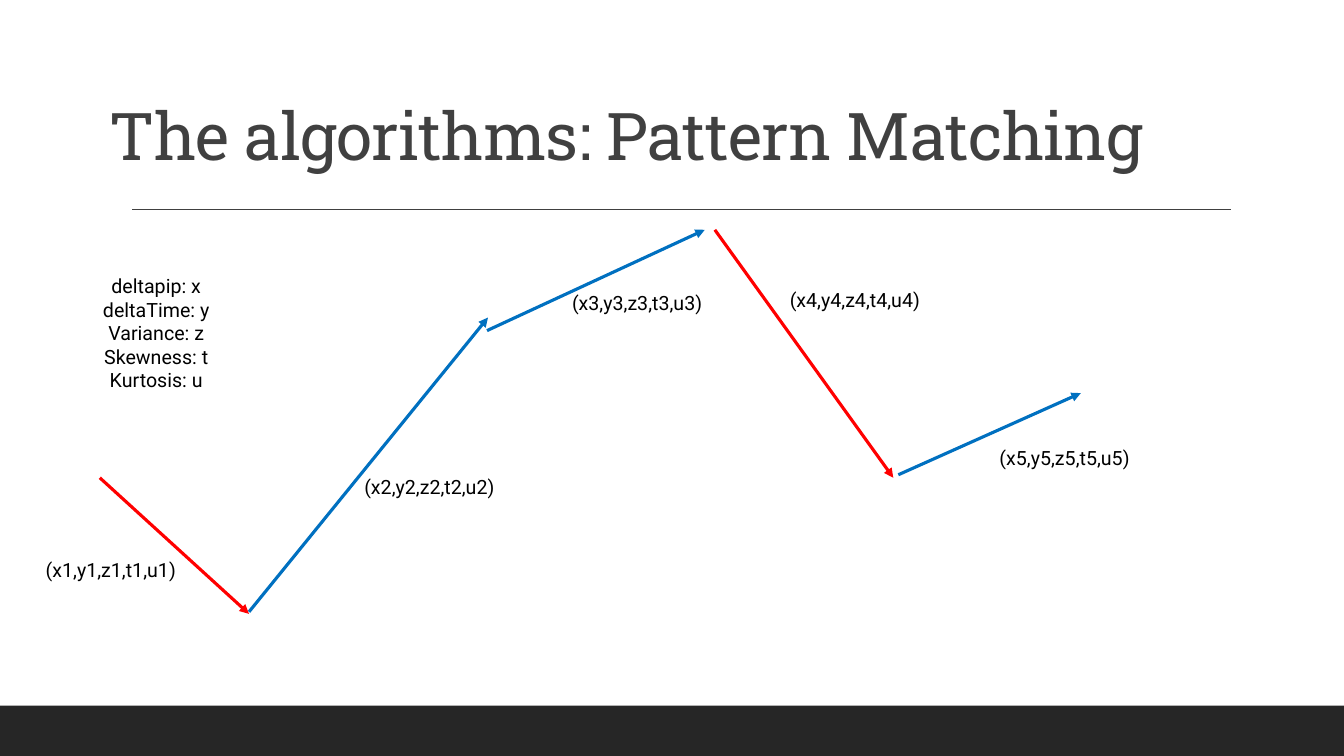
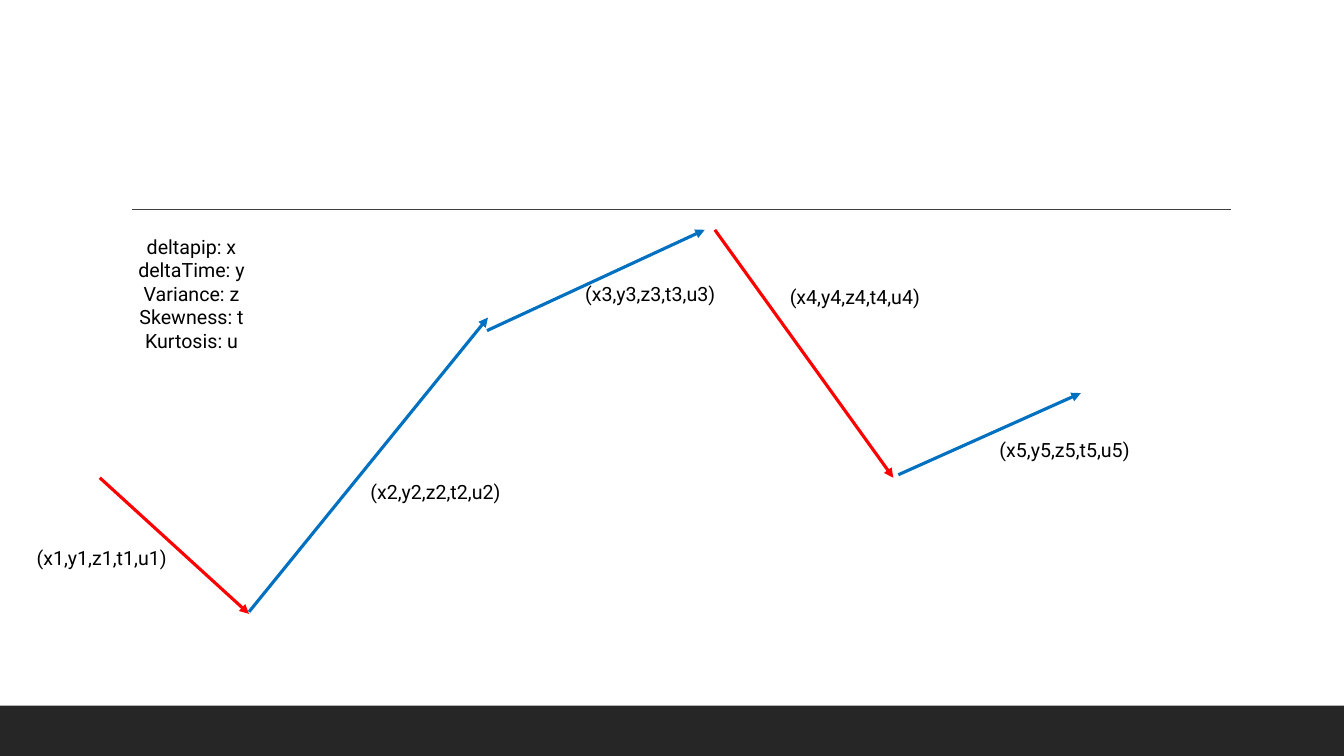
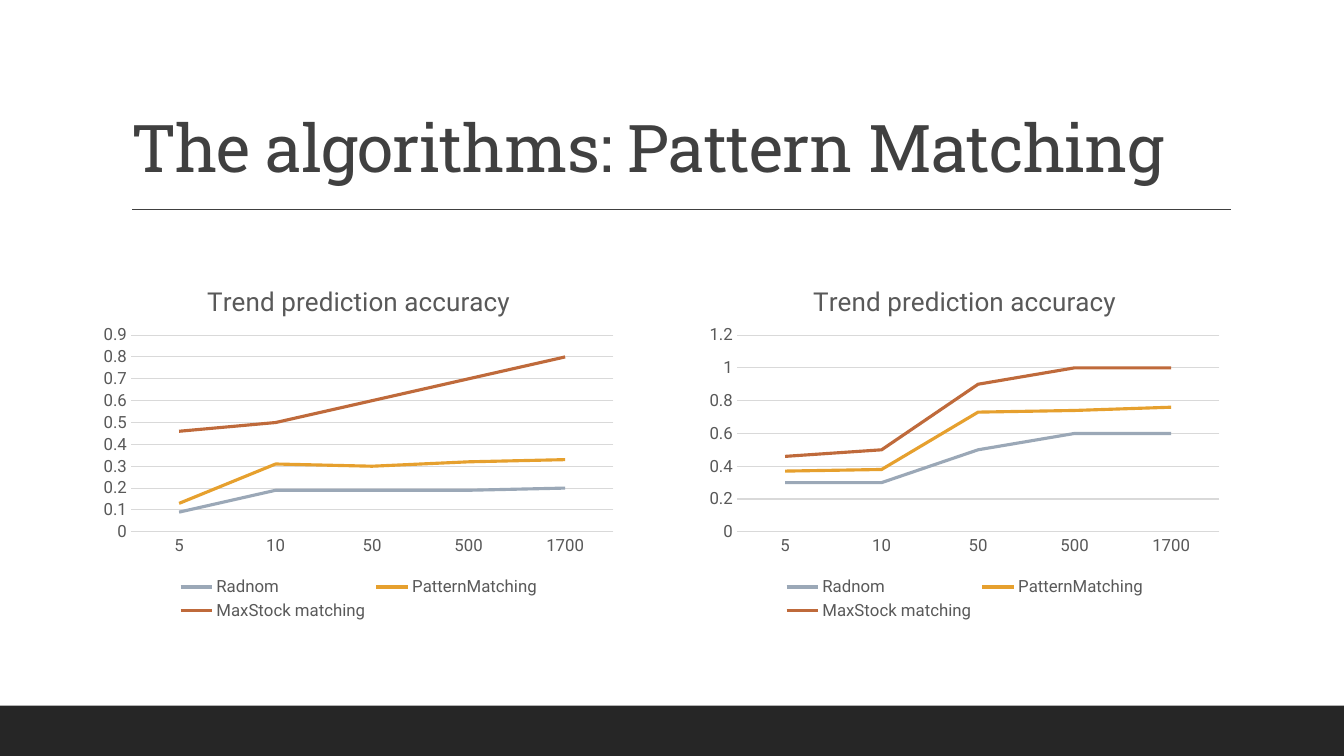
import pptx
import pptx.chart.data
import pptx.dml.color
import pptx.enum.chart
import pptx.enum.shapes
import pptx.enum.text
import pptx.oxml
import pptx.oxml.ns
import pptx.util
from pptx.util import Inches, Pt

RGB = pptx.dml.color.RGBColor
BAND = RGB(0x26, 0x26, 0x26)
TITLE_GREY = RGB(0x40, 0x40, 0x40)
CHART_GREY = RGB(0x59, 0x59, 0x59)
GRID_GREY = RGB(0xD9, 0xD9, 0xD9)
BLACK = RGB(0, 0, 0)
FALL_RED = RGB(0xFF, 0, 0)
RISE_BLUE = RGB(0, 0x70, 0xC0)
BODY_FONT = "Roboto"
TITLE_FONT = "Roboto Slab"

SLIDE_W, SLIDE_H = 13.33, 7.5
BAND_H = 0.5
LABEL_W, LABEL_H, FEATURES_H = 1.86, 0.34, 1.28
TITLE_W, TITLE_H = 11, 1.59
CHART_W, CHART_H, CHART_TOP = 5.26, 3.55, 2.65
CHART_LEFT, CHART_STEP = 0.93, 6.01

TITLE = "The algorithms: Pattern Matching"
FEATURES = ["deltapip: x", "deltaTime: y", "Variance: z", "Skewness: t", "Kurtosis: u"]
TREND = [
    ((0.99, 4.74), (2.47, 6.09)),
    ((2.47, 6.07), (4.84, 3.15)),
    ((4.83, 3.28), (6.99, 2.28)),
    ((7.09, 2.28), (8.86, 4.74)),
    ((8.91, 4.71), (10.72, 3.9)),
]
PATTERN_SLIDES = [
    {"title_at": (0.99, 0.19), "features_at": (0.62, 2.67),
     "vectors_at": [(0.17, 5.49), (3.33, 4.66), (5.39, 2.84), (7.55, 2.81), (9.63, 4.37)]},
    {"title_at": None, "features_at": (0.97, 2.28),
     "vectors_at": [(0.08, 5.37), (3.39, 4.71), (5.52, 2.75), (7.55, 2.78), (9.63, 4.3)]},
]

ACCURACY_TITLE_AT = (1.2, 0.31)
ACCURACY_TITLE = "Trend prediction accuracy"
SAMPLE_SIZES = ["5", "10", "50", "500", "1700"]
METHODS = [
    ("Radnom", RGB(0x9B, 0xA8, 0xB7)),
    ("PatternMatching", RGB(0xE6, 0xA0, 0x2E)),
    ("MaxStock matching", RGB(0xBF, 0x6A, 0x3B)),
]
ACCURACY_CHARTS = [
    {"top": 0.9, "step": 0.1,
     "accuracy": [(0.09, 0.19, 0.19, 0.19, 0.2),
                  (0.13, 0.31, 0.3, 0.32, 0.33),
                  (0.46, 0.5, 0.6, 0.7, 0.8)]},
    {"top": 1.2, "step": 0.2,
     "accuracy": [(0.3, 0.3, 0.5, 0.6, 0.6),
                  (0.37, 0.38, 0.73, 0.74, 0.76),
                  (0.46, 0.5, 0.9, 1, 1)]},
]
PLOT_LAYOUT = {"x": 0.07, "y": 0.19, "w": 0.91, "h": 0.55}


def inches(*lengths):
    return [Inches(length) for length in lengths]


def style_font(font, size, color, name=BODY_FONT):
    font.size = Pt(size)
    font.name = name
    font.bold = False
    font.color.rgb = color


def add_line(slide, start, end, color, width, arrow=False):
    line = slide.shapes.add_connector(
        pptx.enum.shapes.MSO_CONNECTOR.STRAIGHT, *inches(*start, *end))
    line.line.color.rgb = color
    line.line.width = Pt(width)
    if arrow:
        outline = line.line._get_or_add_ln()
        pptx.oxml.ns.qn("a:tailEnd")
        outline.append(outline.makeelement(pptx.oxml.ns.qn("a:tailEnd"), {"type": "triangle"}))
    properties = line.element.spPr
    properties.append(properties.makeelement(pptx.oxml.ns.qn("a:effectLst"), {}))
    return line


def furnish_master(deck, slide):
    band = slide.shapes.add_shape(
        pptx.enum.shapes.MSO_SHAPE.RECTANGLE,
        *inches(0, SLIDE_H - BAND_H, SLIDE_W, BAND_H))
    band.shadow.inherit = False
    band.fill.solid()
    band.fill.fore_color.rgb = BAND
    band.line.fill.background()
    rule = add_line(slide, (1.31, 2.08), (12.21, 2.08), TITLE_GREY, 1)
    for number, part in enumerate((band, rule), 101):
        part.element.xpath(".//p:cNvPr")[0].set("id", str(number))
        deck.slide_master.shapes.element.append(part.element)


def set_title(slide, position):
    title = slide.shapes.title
    title.left, title.top, title.width, title.height = inches(*position, TITLE_W, TITLE_H)
    frame = title.text_frame
    frame.auto_size = pptx.enum.text.MSO_AUTO_SIZE.NONE
    frame.vertical_anchor = pptx.enum.text.MSO_ANCHOR.BOTTOM
    paragraph = frame.paragraphs[0]
    paragraph.alignment = pptx.enum.text.PP_ALIGN.LEFT
    paragraph.line_spacing = 0.9
    run = paragraph.add_run()
    run.text = TITLE
    style_font(run.font, 47, TITLE_GREY, TITLE_FONT)
    run._r.get_or_add_rPr().set("spc", "-50")


def add_label(slide, position, height, lines):
    label = slide.shapes.add_textbox(*inches(*position, LABEL_W, height))
    frame = label.text_frame
    frame.word_wrap = True
    frame.auto_size = pptx.enum.text.MSO_AUTO_SIZE.SHAPE_TO_FIT_TEXT
    for index, line in enumerate(lines):
        paragraph = frame.add_paragraph() if index else frame.paragraphs[0]
        paragraph.alignment = pptx.enum.text.PP_ALIGN.CENTER
        run = paragraph.add_run()
        run.text = line
        style_font(run.font, 14, BLACK)


def draw_pattern(slide, pattern):
    if pattern["title_at"]:
        set_title(slide, pattern["title_at"])
    for start, end in TREND:
        color = FALL_RED if end[1] > start[1] else RISE_BLUE
        add_line(slide, start, end, color, 2.25, arrow=True)
    add_label(slide, pattern["features_at"], FEATURES_H, FEATURES)
    for number, position in enumerate(pattern["vectors_at"], 1):
        vector = ",".join(f"{feature}{number}" for feature in "xyztu")
        add_label(slide, position, LABEL_H, [f"({vector})"])


def fix_plot_area(chart):
    plot_area = chart.element.xpath(".//c:plotArea")[0]
    for old in plot_area.xpath("./c:layout"):
        plot_area.remove(old)
    settings = [("layoutTarget", "inner"), ("xMode", "edge"), ("yMode", "edge")]
    settings += PLOT_LAYOUT.items()
    values = "".join(f'<c:{tag} val="{value}"/>' for tag, value in settings)
    plot_area.insert(0, pptx.oxml.parse_xml(
        f'<c:layout {pptx.oxml.ns.nsdecls("c")}>'
        f"<c:manualLayout>{values}</c:manualLayout></c:layout>"))


def add_accuracy_chart(slide, left, content):
    table = pptx.chart.data.CategoryChartData()
    table.categories = SAMPLE_SIZES
    for (method, _), accuracy in zip(METHODS, content["accuracy"]):
        table.add_series(method, accuracy)
    chart = slide.shapes.add_chart(
        pptx.enum.chart.XL_CHART_TYPE.LINE,
        *inches(left, CHART_TOP, CHART_W, CHART_H), table).chart
    style_font(chart.font, 10, BLACK)

    chart.has_title = True
    heading = chart.chart_title.text_frame.paragraphs[0].add_run()
    heading.text = ACCURACY_TITLE
    style_font(heading.font, 18.6, CHART_GREY)
    chart.chart_title.include_in_layout = False

    chart.has_legend = True
    chart.legend.position = pptx.enum.chart.XL_LEGEND_POSITION.BOTTOM
    chart.legend.include_in_layout = False
    style_font(chart.legend.font, 12, CHART_GREY)

    sizes, scale = chart.category_axis, chart.value_axis
    for axis in (sizes, scale):
        axis.major_tick_mark = pptx.enum.chart.XL_TICK_MARK.NONE
        axis.minor_tick_mark = pptx.enum.chart.XL_TICK_MARK.NONE
        style_font(axis.tick_labels.font, 12, CHART_GREY)
    scale.minimum_scale = 0
    scale.maximum_scale = content["top"]
    scale.major_unit = content["step"]
    scale.has_major_gridlines = True
    scale.format.line.fill.background()
    for line in (sizes.format.line, scale.major_gridlines.format.line):
        line.color.rgb = GRID_GREY
        line.width = Pt(0.75)

    plot = chart.plots[0]
    plot.vary_by_categories = False
    for series, (_, color) in zip(plot.series, METHODS):
        series.smooth = False
        series.marker.style = pptx.enum.chart.XL_MARKER_STYLE.NONE
        series.format.line.color.rgb = color
        series.format.line.width = Pt(2.25)
    fix_plot_area(chart)


def main():
    deck = pptx.Presentation()
    deck.slide_width, deck.slide_height = inches(SLIDE_W, SLIDE_H)
    title_only, blank = deck.slide_layouts[5], deck.slide_layouts[6]

    for pattern in PATTERN_SLIDES:
        slide = deck.slides.add_slide(title_only if pattern["title_at"] else blank)
        draw_pattern(slide, pattern)

    results = deck.slides.add_slide(title_only)
    furnish_master(deck, results)
    set_title(results, ACCURACY_TITLE_AT)
    for index, content in enumerate(ACCURACY_CHARTS):
        add_accuracy_chart(results, CHART_LEFT + index * CHART_STEP, content)

    deck.save("out.pptx")


if __name__ == "__main__":
    main()
